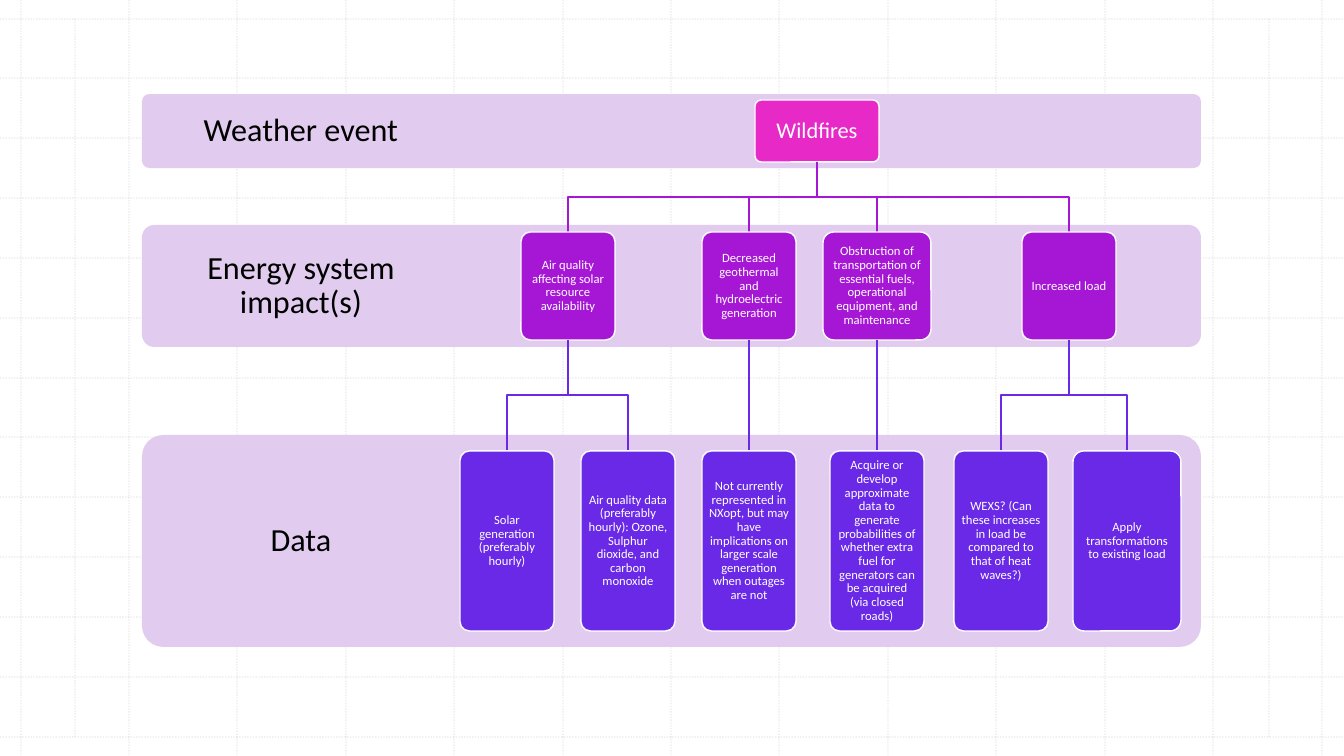
from lxml import etree
from pptx import Presentation
from pptx import util as u
from pptx.dml.color import RGBColor
from pptx.enum import dml, shapes, text
from pptx.oxml.ns import qn

PX = 914400 / 100.8
COLORS = {"grid": "BCBCBC", "band": "E1CCEF", "event": "E729C7",
          "impact": "A617D5", "data": "6929E7", "white": "FFFFFF", "black": "000000"}

# level: (top, height, font size, inset)
LEVELS = {"event": (100, 62, 16, 7), "impact": (232, 108, 9, 4), "data": (451, 180, 9, 4)}
BANDS = [("Data", 435, 212), ("Energy system impact(s)", 225, 122), ("Weather event", 94, 74)]

# node: (text, centre x, width, children)
WILDFIRES = ("Wildfires", 817, 124, [
    ("Air quality affecting solar resource availability", 568, 94, [
        ("Solar generation (preferably hourly)", 507, 94, []),
        ("Air quality data (preferably hourly): Ozone, Sulphur dioxide, and carbon monoxide",
         628, 94, []),
    ]),
    ("Decreased geothermal and hydroelectric generation", 749, 94, [
        ("Not currently represented in NXopt, but may have implications on larger scale "
         "generation when outages are not", 749, 94, []),
    ]),
    ("Obstruction of transportation of essential fuels, operational equipment, and maintenance",
     877, 108, [
         ("Acquire or develop approximate data to generate probabilities of whether extra fuel "
          "for generators can be acquired (via closed roads)", 877, 94, []),
     ]),
    ("Increased load", 1069, 94, [
        ("WEXS? (Can these increases in load be compared to that of heat waves?)", 1001, 94, []),
        ("Apply transformations to existing load", 1127, 108, []),
    ]),
])


def px(n):
    return u.Emu(round(n * PX))


def rgb(name):
    return RGBColor.from_string(COLORS[name])


class Diagram:
    font = "Calibri"

    def __init__(self, slide):
        self.shapes = slide.shapes

    def line(self, x1, y1, x2, y2, color):
        c = self.shapes.add_connector(shapes.MSO_CONNECTOR.STRAIGHT, *map(px, (x1, y1, x2, y2)))
        c.line.color.rgb = rgb(color)
        c.line.width = u.Pt(1)
        etree.SubElement(c._element.spPr, qn("a:effectLst"))
        return c

    def grid_line(self, *ends):
        c = self.line(*ends, "grid")
        c.line.dash_style = dml.MSO_LINE.ROUND_DOT
        clr = c._element.spPr.find(".//" + qn("a:srgbClr"))
        etree.SubElement(clr, qn("a:alpha"), val="30000")

    def label(self, sp, words, size, color, inset):
        tf = sp.text_frame
        margins = {f"margin_{side}": px(inset) for side in ("left", "top", "right", "bottom")}
        style = {"word_wrap": True, "vertical_anchor": text.MSO_ANCHOR.MIDDLE, **margins}
        for name, value in style.items():
            setattr(tf, name, value)
        p = tf.paragraphs[0]
        p.alignment = text.PP_ALIGN.CENTER
        p.line_spacing = 0.9
        r = p.add_run()
        r.text = words
        for name, value in {"name": self.font, "size": u.Pt(size)}.items():
            setattr(r.font, name, value)
        r.font.color.rgb = rgb(color)

    def rounded(self, x, y, w, h, fill, outline=None):
        sp = self.shapes.add_shape(shapes.MSO_SHAPE.ROUNDED_RECTANGLE, *map(px, (x, y, w, h)))
        sp.adjustments[0] = 0.1
        sp.shadow.inherit = False
        sp.fill.solid()
        sp.fill.fore_color.rgb = rgb(fill)
        if outline:
            sp.line.color.rgb = rgb(outline)
            sp.line.width = u.Pt(1)
        else:
            sp.line.fill.background()
        return sp

    def band(self, words, y, h):
        self.rounded(142, y, 1059, h, "band")
        tb = self.shapes.add_textbox(*map(px, (142, y, 318, h)))
        self.label(tb, words, 23, "black", 18)

    def elbow(self, x1, y1, x2, y2, color):
        mid = (y1 + y2) // 2
        fb = self.shapes.build_freeform(x1, y1, scale=PX)
        fb.add_line_segments([(x1, mid), (x2, mid), (x2, y2)], close=False)
        sp = fb.convert_to_shape()
        sp.shadow.inherit = False
        sp.fill.background()
        sp.line.color.rgb = rgb(color)
        sp.line.width = u.Pt(1)

    def tree(self, node, levels):
        """Draw a node, then its children one level down, and return the node's box."""
        words, x, w, children = node
        level, *lower = levels
        y, h, size, inset = LEVELS[level]
        box = self.rounded(x - w // 2, y, w, h, level, "white")
        self.label(box, words, size, "white", inset)
        for child in children:
            child_x, child_y = child[1], LEVELS[lower[0]][0]
            ends = (x, y + h, child_x, child_y, lower[0])
            if child_x == x:
                c = self.line(*ends)
                c.begin_connect(box, 2)
                c.end_connect(self.tree(child, lower), 0)
            else:
                self.elbow(*ends)
                self.tree(child, lower)
        return box


def main():
    prs = Presentation()
    prs.slide_width, prs.slide_height = px(1344), px(756)
    s = prs.slides.add_slide(prs.slide_layouts[6])
    d = Diagram(s)
    for i in range(13):
        x, y = 21 + 1301 * i // 12, 19 + 718 * i // 12
        d.grid_line(x, 0, x, 756)
        d.grid_line(0, y, 1344, y)
    for x in (75, 1269):
        d.grid_line(x, 19, x, 737)
    for band in BANDS:
        d.band(*band)
    d.tree(WILDFIRES, list(LEVELS))
    prs.save("out.pptx")


if __name__ == "__main__":
    main()
